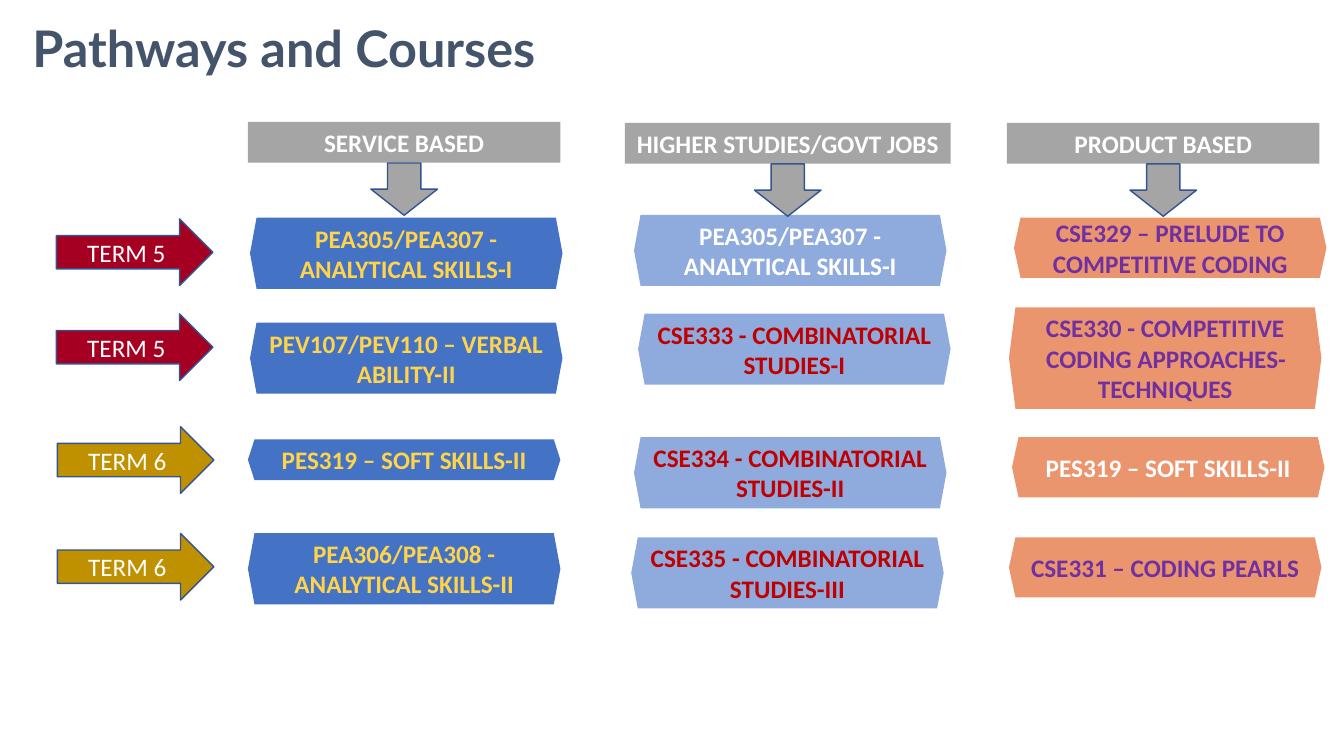
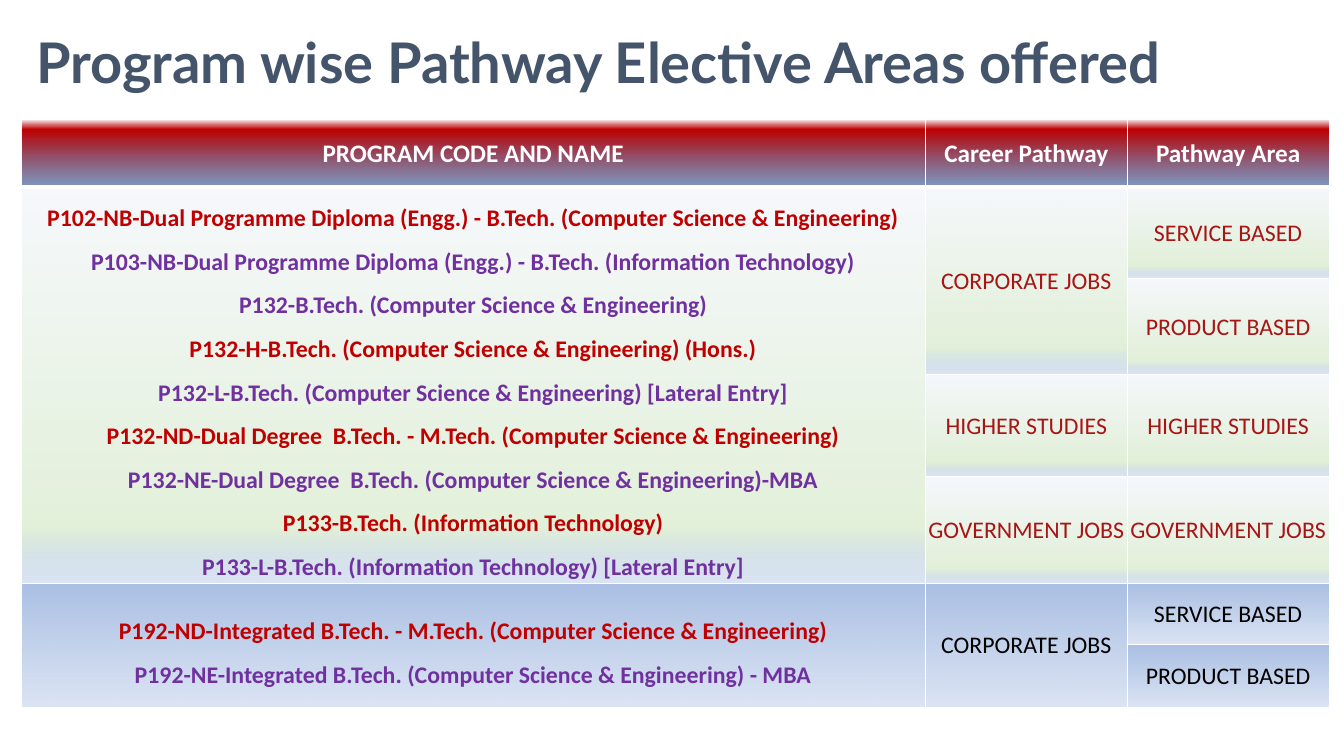
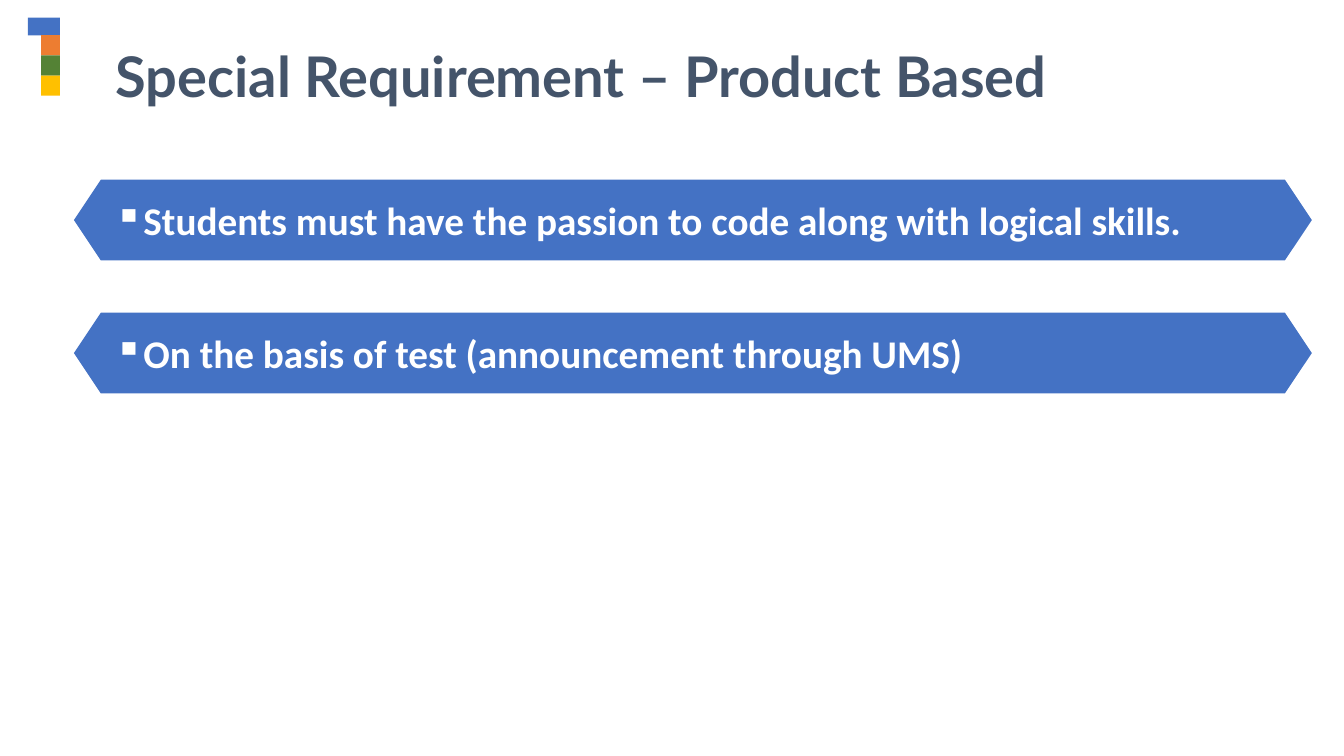
import dataclasses

import lxml.etree
import pptx
import pptx.dml.color
import pptx.enum.shapes
import pptx.enum.text
import pptx.oxml.ns
import pptx.util

Pt = pptx.util.Pt
RGB = pptx.dml.color.RGBColor.from_string
SHAPE = pptx.enum.shapes.MSO_SHAPE
ALIGN = pptx.enum.text.PP_ALIGN
ANCHOR = pptx.enum.text.MSO_ANCHOR
qn = pptx.oxml.ns.qn
SubElement = lxml.etree.SubElement


@dataclasses.dataclass(frozen=True)
class Theme:
    title_font: str = "Lato"
    body_font: str = "Calibri"
    navy: str = "44546A"
    blue: str = "4472C4"
    light_blue: str = "8FAADC"
    salmon: str = "EB956F"
    gray: str = "A5A5A5"
    outline: str = "325491"
    crimson: str = "A50021"
    ochre: str = "BF9000"
    white: str = "FFFFFF"
    black: str = "000000"
    yellow: str = "FFD44B"
    red: str = "C00000"
    purple: str = "7030A0"
    brick: str = "A71515"
    orange: str = "ED7D31"
    green: str = "548235"
    gold: str = "FFC000"
    label_size: float = 18
    table_size: float = 17
    point_size: float = 28
    header_grad: tuple = ((0, "F6F8FC", 100), (15, "C00000", 100), (100, "2F5597", 60), (100, "C7D5ED", 100))
    green_grad: tuple = ((0, "F6F8FC", 100), (86, "E2F0D9", 100), (100, "ABC0E4", 41), (100, "C7D5ED", 100))
    blue_grad: tuple = ((0, "F6F8FC", 100), (0, "ABC0E4", 100), (100, "ABC0E4", 41), (100, "C7D5ED", 100))


T = Theme()


def add_tag(s, left, top, width, height, notch, fill):
    right, middle, bottom = left + width, top + height / 2, top + height
    points = [(left + notch, top), (left, middle), (left + notch, bottom),
              (right - notch, bottom), (right, middle)]
    builder = s.shapes.build_freeform(Pt(right - notch), Pt(top))
    builder.add_line_segments([(Pt(x), Pt(y)) for x, y in points], close=True)
    sp = builder.convert_to_shape()
    sp.shadow.inherit = False
    sp.fill.solid()
    sp.fill.fore_color.rgb = RGB(fill)
    sp.line.fill.background()
    return sp


def write(tf, lines, size, bold, align=ALIGN.CENTER, anchor=ANCHOR.MIDDLE, font=T.body_font):
    tf.word_wrap = True
    tf.vertical_anchor = anchor
    for i, (text, color) in enumerate(lines):
        p = tf.paragraphs[0] if i == 0 else tf.add_paragraph()
        p.text = text
        p.alignment = align
        p.font.name = font
        p.font.size = Pt(size)
        p.font.bold = bold
        p.font.color.rgb = RGB(color)


prs = pptx.Presentation()
prs.slide_width, prs.slide_height = Pt(960), Pt(540)

titles = [
    ("Pathways and Courses", (16, 8.6, 941, 51), 36, ALIGN.LEFT),
    ("Program wise Pathway Elective Areas offered", (18.7, 15.8, 906, 55.4), 40, ALIGN.LEFT),
    ("Special Requirement – Product Based", (42.5, 26, 745, 55.4), 40, ALIGN.CENTER),
]
for text, box, size, align in titles:
    s = prs.slides.add_slide(prs.slide_layouts[5])
    sp = s.shapes.title
    sp.left, sp.top, sp.width, sp.height = map(Pt, box)
    write(sp.text_frame, [(text, T.navy)], size, True, align, ANCHOR.TOP, T.title_font)
pathways, programs, requirement = prs.slides

TAG_WIDTH = 223.2
columns = [
    ("SERVICE BASED", (177.1, 87.1, TAG_WIDTH), T.blue, [
        (178.6, 155.5, 50.8, "PEA305/PEA307 - ANALYTICAL SKILLS-I", T.yellow),
        (178.6, 230.4, 50.8, "PEV107/PEV110 – VERBAL ABILITY-II", T.yellow),
        (177.1, 313.9, 29, "PES319 – SOFT SKILLS-II", T.yellow),
        (177.1, 380.9, 50.8, "PEA306/PEA308 - ANALYTICAL SKILLS-II", T.yellow)]),
    ("HIGHER STUDIES/GOVT JOBS", (446.4, 87.8, 232.6), T.light_blue, [
        (452.9, 153.5, 50.8, "PEA305/PEA307 - ANALYTICAL SKILLS-I", T.white),
        (455.8, 224, 50.8, "CSE333 - COMBINATORIAL STUDIES-I", T.red),
        (452.9, 312.3, 50.8, "CSE334 - COMBINATORIAL STUDIES-II", T.red),
        (450.9, 383.8, 50.8, "CSE335 - COMBINATORIAL STUDIES-III", T.red)]),
    ("PRODUCT BASED", (719.3, 87.8, TAG_WIDTH), T.salmon, [
        (724.3, 155.5, 43, "CSE329 – PRELUDE TO COMPETITIVE CODING", T.purple),
        (720.7, 219.5, 72.6, "CSE330 - COMPETITIVE CODING APPROACHES-TECHNIQUES", T.purple),
        (722.9, 312.3, 43, "PES319 – SOFT SKILLS-II", T.white),
        (720.7, 383.8, 43, "CSE331 – CODING PEARLS", T.purple)]),
]
blocks = []
for heading, (left, top, width), tag_fill, courses in columns:
    for x, y, height, text, color in courses:
        sp = add_tag(pathways, x, y, TAG_WIDTH, height, 4.7, tag_fill)
        write(sp.text_frame, [(text, color)], T.label_size, True)
    blocks.append((SHAPE.RECTANGLE, left, top, width, 29.1, T.gray, heading))
    blocks.append((SHAPE.DOWN_ARROW, left + width / 2 - 23.8, top + 29.3, 47.6, 37.4, T.gray, ""))
for term, left, top, fill in [("TERM 5", 40.3, 156.4, T.crimson), ("TERM 5", 40.3, 224.2, T.crimson),
                              ("TERM 6", 41, 304.8, T.ochre), ("TERM 6", 41, 381, T.ochre)]:
    blocks.append((SHAPE.RIGHT_ARROW, left, top, 111.8, 47.6, fill, term))
for kind, left, top, width, height, fill, text in blocks:
    sp = pathways.shapes.add_shape(kind, Pt(left), Pt(top), Pt(width), Pt(height))
    sp.shadow.inherit = False
    sp.fill.solid()
    sp.fill.fore_color.rgb = RGB(fill)
    is_heading = kind == SHAPE.RECTANGLE
    if is_heading:
        sp.line.fill.background()
    else:
        sp.line.color.rgb = RGB(T.outline)
        sp.line.width = Pt(1)
    if text:
        write(sp.text_frame, [(text, T.white)], T.label_size, is_heading,
              anchor=ANCHOR.TOP if is_heading else ANCHOR.MIDDLE)

first_programs = [
    ("P102-NB-Dual Programme Diploma (Engg.) - B.Tech. (Computer Science & Engineering)", T.red),
    ("P103-NB-Dual Programme Diploma (Engg.) - B.Tech. (Information Technology)", T.purple),
    ("P132-B.Tech. (Computer Science & Engineering)", T.purple),
    ("P132-H-B.Tech. (Computer Science & Engineering) (Hons.)", T.red),
    ("P132-L-B.Tech. (Computer Science & Engineering) [Lateral Entry]", T.purple),
    ("P132-ND-Dual Degree  B.Tech. - M.Tech. (Computer Science & Engineering)", T.red),
    ("P132-NE-Dual Degree  B.Tech. (Computer Science & Engineering)-MBA", T.purple),
    ("P133-B.Tech. (Information Technology)", T.red),
    ("P133-L-B.Tech. (Information Technology) [Lateral Entry]", T.purple),
]
integrated_programs = [
    ("P192-ND-Integrated B.Tech. - M.Tech. (Computer Science & Engineering)", T.red),
    ("P192-NE-Integrated B.Tech. (Computer Science & Engineering) - MBA", T.purple),
]
rows = [
    ("PROGRAM CODE AND NAME", "Career Pathway", "Pathway Area"),
    (first_programs, "CORPORATE JOBS", "SERVICE BASED"),
    (None, None, "PRODUCT BASED"),
    (None, "HIGHER STUDIES", "HIGHER STUDIES"),
    (None, "GOVERNMENT JOBS", "GOVERNMENT JOBS"),
    (integrated_programs, "CORPORATE JOBS", "SERVICE BASED"),
    (None, None, "PRODUCT BASED"),
]
row_heights = [48, 65.2, 69, 72.5, 76.5, 43.4, 45]
column_widths = [646, 144.2, 144.2]
tbl = programs.shapes.add_table(len(rows), len(column_widths), Pt(15), Pt(85.6),
                                Pt(sum(column_widths)), Pt(sum(row_heights))).table
for column, width in zip(tbl.columns, column_widths):
    column.width = Pt(width)
for row, height in zip(tbl.rows, row_heights):
    row.height = Pt(height)
for first, last, col in [(1, 4, 0), (1, 2, 1), (5, 6, 0), (5, 6, 1)]:
    tbl.cell(first, col).merge(tbl.cell(last, col))
for i, row in enumerate(rows):
    if i == 0:
        stops, color, size = T.header_grad, T.white, T.label_size
    elif i < 5:
        stops, color, size = T.green_grad, T.brick, T.table_size
    else:
        stops, color, size = T.blue_grad, T.black, T.table_size
    for j, content in enumerate(row):
        cell = tbl.cell(i, j)
        cell.margin_left = cell.margin_right = cell.margin_top = Pt(0.7)
        cell.margin_bottom = Pt(0)
        cell.vertical_anchor = ANCHOR.MIDDLE
        if content:
            lines = content if j == 0 and i else [(content, color)]
            write(cell.text_frame, lines, size, i == 0 or j == 0)
            if j == 0 and i:
                for p in cell.text_frame.paragraphs:
                    p.line_spacing = 1.5
        tcPr = cell._tc.get_or_add_tcPr()
        for side in ("lnL", "lnR", "lnT", "lnB"):
            heavy = (i == 0 and side == "lnB") or (i == 1 and side == "lnT")
            ln = SubElement(tcPr, qn("a:" + side), w=str(Pt(3 if heavy else 1)))
            SubElement(SubElement(ln, qn("a:solidFill")), qn("a:srgbClr"), val=T.white)
        grad = SubElement(tcPr, qn("a:gradFill"), rotWithShape="1")
        stop_list = SubElement(grad, qn("a:gsLst"))
        for position, stop_color, alpha in stops:
            gs = SubElement(stop_list, qn("a:gs"), pos=str(position * 1000))
            clr = SubElement(gs, qn("a:srgbClr"), val=stop_color)
            if alpha < 100:
                SubElement(clr, qn("a:alpha"), val=str(alpha * 1000))
        SubElement(grad, qn("a:lin"), ang="5400000", scaled="0")

for left, top, width, height, fill in [(20, 12.6, 22.8, 12.6, T.blue), (29.4, 25.2, 13.4, 14.4, T.orange),
                                       (29.4, 39.6, 13.4, 14.4, T.green), (29.4, 54, 13.4, 14.4, T.gold)]:
    sp = requirement.shapes.add_shape(SHAPE.RECTANGLE, Pt(left), Pt(top), Pt(width), Pt(height))
    sp.shadow.inherit = False
    sp.fill.solid()
    sp.fill.fore_color.rgb = RGB(fill)
    sp.line.fill.background()

points = ["Students must have the passion to code along with logical skills.",
          "On the basis of test (announcement through UMS)"]
for i, text in enumerate(points):
    sp = add_tag(requirement, 52.8, 128.4 + 95 * i, 884.2, 57.6, 19.2, T.blue)
    tf = sp.text_frame
    tf.margin_left, tf.margin_right = Pt(28.8), Pt(14.4)
    write(tf, [(text, T.white)], T.point_size, True, ALIGN.LEFT)
    pPr = tf.paragraphs[0]._p.get_or_add_pPr()
    pPr.set("marL", str(Pt(16)))
    pPr.set("indent", str(-Pt(16)))
    bullet = lxml.etree.Element(qn("a:buChar"), char="▪")
    pPr.insert_element_before(bullet, "a:tabLst", "a:defRPr", "a:extLst")

prs.save("out.pptx")
